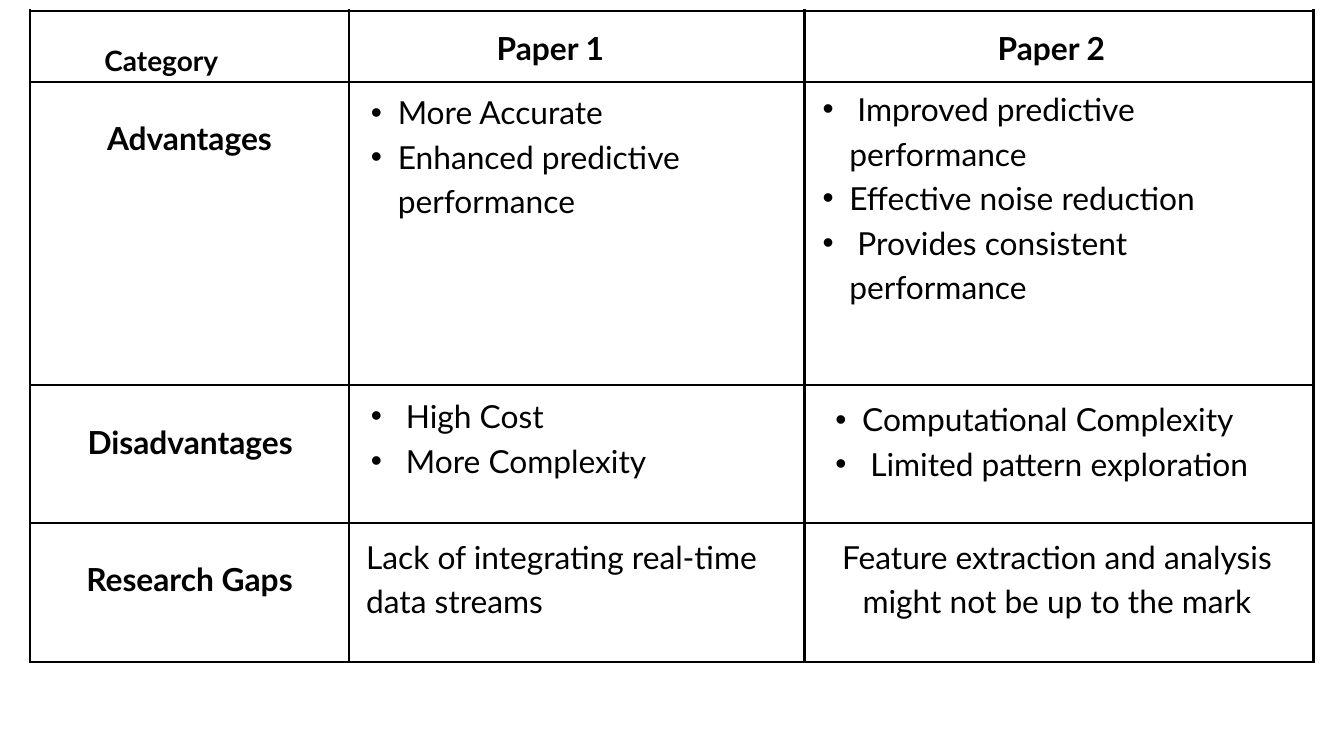
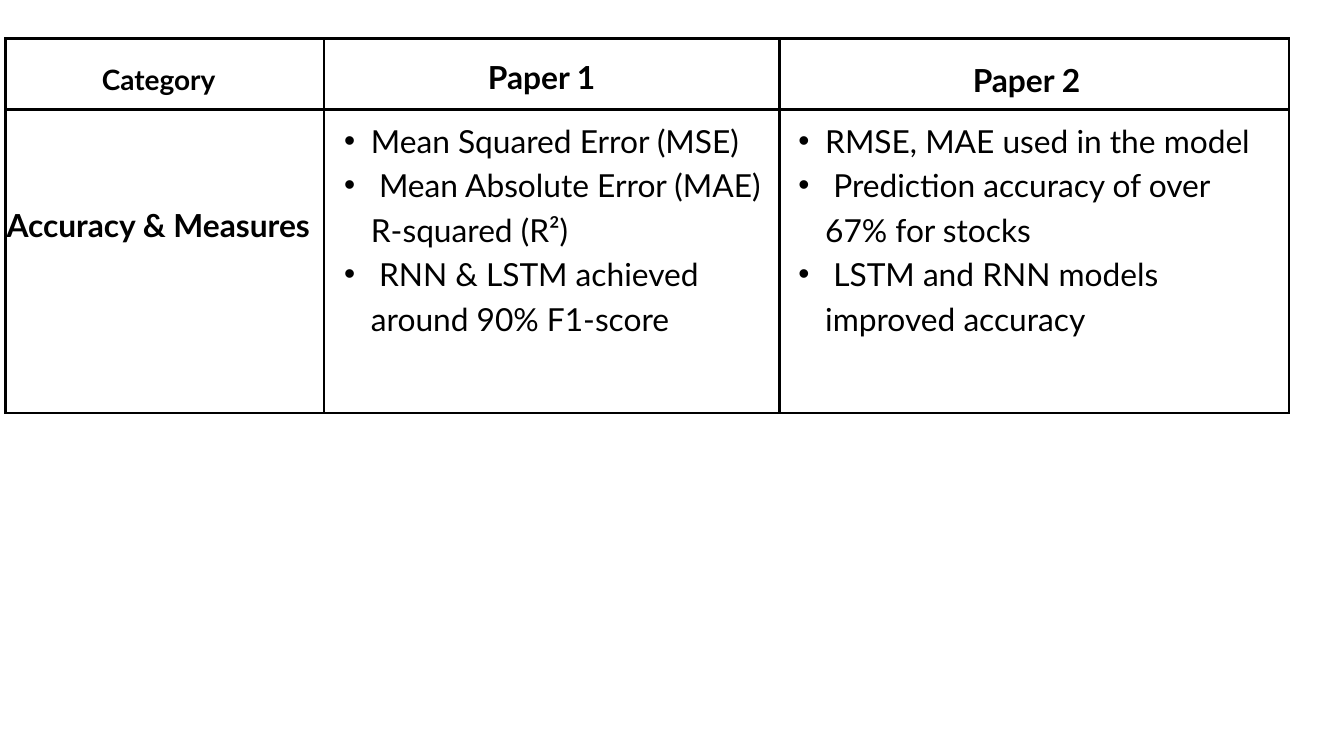
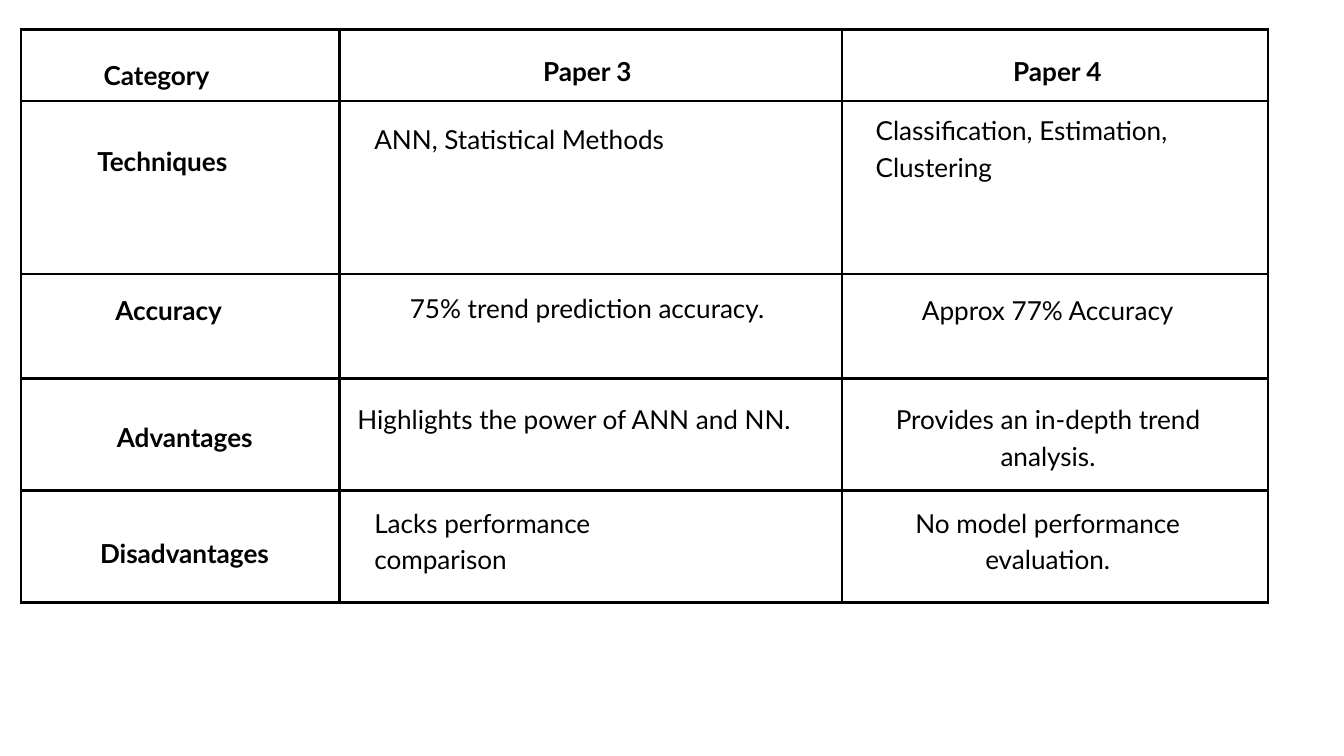
from lxml.etree import SubElement
from pptx import Presentation
from pptx.dml.color import RGBColor
from pptx.enum.text import MSO_AUTO_SIZE as Fit, PP_ALIGN as Align
from pptx.oxml.ns import qn
from pptx.util import Emu, Pt

PX = 9144
SLIDE = (2000, 1125)
FONT = "Lato"
COLORS = {"ink": "000000", "paper": "FFFFFF"}
LINE_SPACING = {28: 39.2, 30: 42, 34: 47.7}
BORDER_PT = 3
LIST_MARGIN, LIST_HANG = 80, -40
STYLES = {
    "head": {"align": Align.CENTER, "bold": True, "bullet": False},
    "center": {"align": Align.CENTER, "bold": False, "bullet": False},
    "body": {"align": Align.LEFT, "bold": False, "bullet": False},
    "list": {"align": Align.LEFT, "bold": False, "bullet": True},
}

PAGES = [
    {
        "grid": {"at": (45, 16), "columns": (474, 678, 758), "rows": (106, 451, 205, 207)},
        "size": 34,
        "category": {"at": (0, 56, 480, 56), "size": 30},
        "texts": [
            ("head", (733, 33, 172, 63), ["Paper 1"]),
            ("head", (1395, 33, 339, 63), ["Paper 2"]),
            ("head", (112, 167, 340, 63), ["Advantages"]),
            ("head", (92, 620, 382, 63), ["Disadvantages"]),
            ("list", (512, 129, 715, 197), ["More Accurate", "Enhanced predictive performance"]),
            ("body", (545, 790, 620, 129), ["Lack of integrating real-time data streams"]),
            ("list", (1203, 586, 722, 130),
             ["Computational Complexity", " Limited pattern exploration"]),
            ("list", (512, 581, 488, 129), [" High Cost", " More Complexity"]),
            ("list", (1184, 124, 657, 332),
             [" Improved predictive performance", "Effective noise reduction",
              " Provides consistent performance"]),
            ("center", (1203, 790, 740, 129),
             ["Feature extraction and analysis might not be up to the mark"]),
            ("head", (112, 823, 340, 63), ["Research Gaps"]),
        ],
    },
    {
        "grid": {"at": (8, 57), "columns": (474, 678, 758), "rows": (106, 452)},
        "size": 34,
        "category": {"at": (0, 84, 472, 56), "size": 30},
        "texts": [
            ("head", (720, 77, 172, 63), ["Paper 1"]),
            ("head", (1358, 81, 339, 63), ["Paper 2"]),
            ("head", (8, 297, 455, 129), ["Accuracy & Measures"]),
            ("list", (472, 171, 676, 399),
             ["Mean Squared Error (MSE)", " Mean Absolute Error (MAE) R-squared (R²)",
              " RNN & LSTM achieved around 90% F1-score"]),
            ("list", (1148, 171, 712, 399),
             ["RMSE, MAE used in the model", " Prediction accuracy of over 67% for stocks",
              " LSTM and RNN models improved accuracy"]),
        ],
    },
    {
        "grid": {"at": (31, 44), "columns": (474, 748, 634), "rows": (106, 258, 155, 167, 167)},
        "size": 28,
        "category": {"at": (0, 81, 466, 53), "size": 28},
        "texts": [
            ("head", (802, 75, 144, 53), ["Paper 3"]),
            ("head", (1404, 75, 339, 53), ["Paper 4"]),
            ("body", (557, 176, 774, 53), ["ANN, Statistical Methods"]),
            ("center", (502, 427, 743, 53), ["75% trend prediction accuracy."]),
            ("center", (1263, 431, 592, 53), ["Approx 77% Accuracy"]),
            ("body", (1303, 163, 545, 107), ["Classification, Estimation, Clustering"]),
            ("head", (132, 209, 219, 53), ["Techniques"]),
            ("head", (60, 431, 382, 161), ["Accuracy"]),
            ("body", (532, 593, 713, 53), ["Highlights the power of ANN and NN."]),
            ("head", (163, 620, 224, 53), ["Advantages"]),
            ("head", (135, 792, 279, 53), ["Disadvantages"]),
            ("center", (1258, 593, 603, 107), ["Provides an in-depth trend analysis."]),
            ("body", (557, 747, 451, 107), ["Lacks performance comparison"]),
            ("center", (1277, 747, 564, 107), ["No model performance evaluation."]),
        ],
    },
]


def px(*lengths):
    """Turn px lengths into EMU."""
    return [Emu(length * PX) for length in lengths]


def set_format(target, values):
    """Set each named attribute of the target."""
    for name, value in values.items():
        setattr(target, name, value)


def add_borders(cell):
    """Draw a solid line on the four sides of a cell."""
    properties = cell._tc.get_or_add_tcPr()
    for side in ("lnL", "lnR", "lnT", "lnB"):
        line = SubElement(properties, qn(f"a:{side}"), w=str(Pt(BORDER_PT)))
        fill = SubElement(line, qn("a:solidFill"))
        SubElement(fill, qn("a:srgbClr"), val=COLORS["ink"])


def add_grid(page, at, columns, rows):
    """Add the ruled comparison table."""
    frame = page.shapes.add_table(len(rows), len(columns), *px(*at, sum(columns), sum(rows)))
    table = frame.table
    set_format(table, {"first_row": False, "horz_banding": False})
    for column, width in zip(table.columns, px(*columns)):
        column.width = width
    for row, height in zip(table.rows, px(*rows)):
        row.height = height
    for cell in table.iter_cells():
        add_borders(cell)
        cell.fill.background()


def add_bullet(para):
    """Give a paragraph a hanging bullet."""
    para.level = 1
    properties = para._p.get_or_add_pPr()
    margin, hang = px(LIST_MARGIN, LIST_HANG)
    properties.set("marL", str(margin))
    properties.set("indent", str(hang))
    SubElement(properties, qn("a:buFont"), typeface="Arial")
    SubElement(properties, qn("a:buChar"), char="•")


def add_text(page, style_name, at, lines, size):
    """Add a text box with one paragraph per line."""
    style = STYLES[style_name]
    box = page.shapes.add_textbox(*px(*at))
    frame = box.text_frame
    set_format(frame, {"word_wrap": True, "auto_size": Fit.SHAPE_TO_FIT_TEXT,
                       "margin_left": 0, "margin_top": 0,
                       "margin_right": 0, "margin_bottom": 0})
    for index, line in enumerate(lines):
        para = frame.add_paragraph() if index else frame.paragraphs[0]
        set_format(para, {"alignment": style["align"], "line_spacing": Pt(LINE_SPACING[size])})
        if style["bullet"]:
            add_bullet(para)
        span = para.add_run()
        span.text = line
        set_format(span.font, {"name": FONT, "size": Pt(size), "bold": style["bold"]})
        span.font.color.rgb = RGBColor.from_string(COLORS["ink"])


def main():
    """Build the comparison deck."""
    deck = Presentation()
    deck.slide_width, deck.slide_height = px(*SLIDE)
    blank = deck.slide_layouts[6]
    for content in PAGES:
        page = deck.slides.add_slide(blank)
        fill = page.background.fill
        fill.solid()
        fill.fore_color.rgb = RGBColor.from_string(COLORS["paper"])
        add_grid(page, **content["grid"])
        add_text(page, "head", lines=["Category"], **content["category"])
        for style_name, at, lines in content["texts"]:
            add_text(page, style_name, at, lines, content["size"])
    deck.save("out.pptx")


if __name__ == "__main__":
    main()
